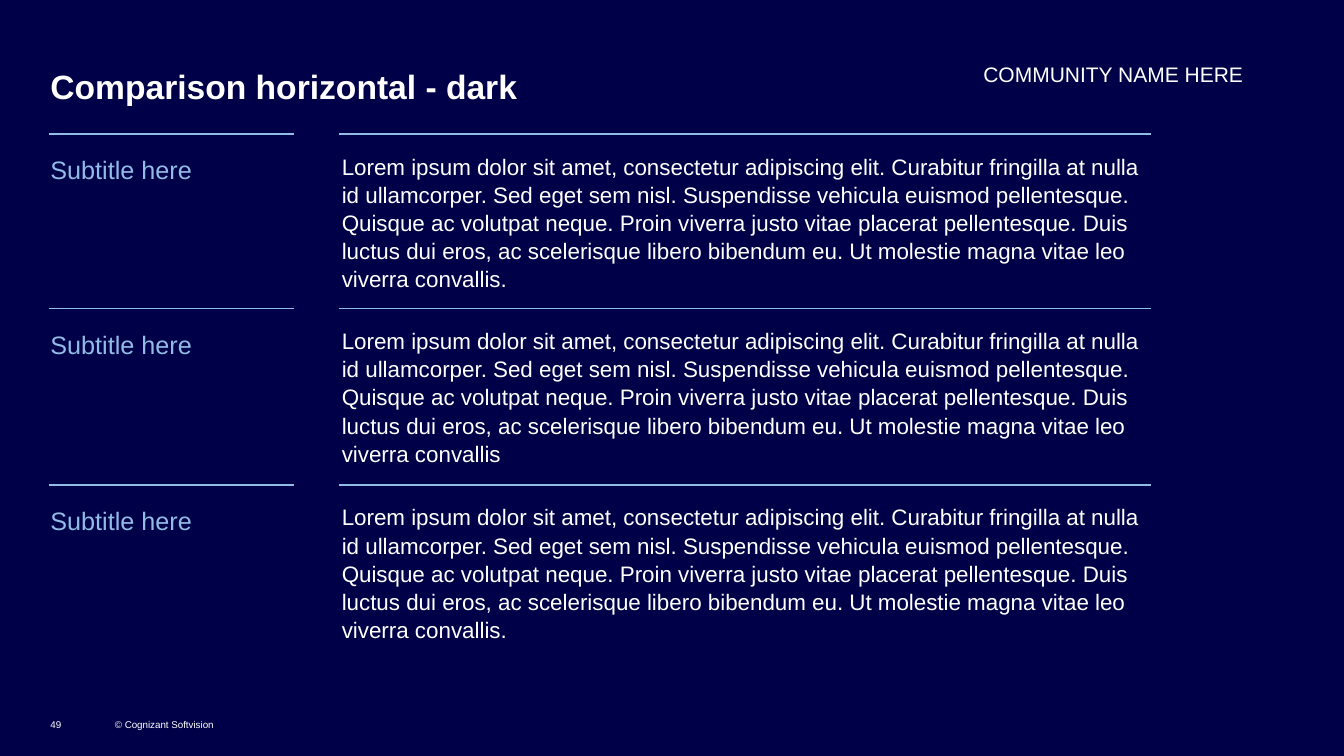
from lxml.etree import SubElement
from pptx import Presentation
from pptx.dml.color import RGBColor
from pptx.enum.shapes import MSO_CONNECTOR
from pptx.enum.text import MSO_ANCHOR, MSO_AUTO_SIZE, PP_ALIGN
from pptx.oxml.ns import qn
from pptx.util import Inches, Pt

NAVY, SKY, WHITE = "000048", "92BBE6", "FFFFFF"
LOREM = (
    "Lorem ipsum dolor sit amet, consectetur adipiscing elit. "
    "Curabitur fringilla at nulla id ullamcorper. Sed eget sem nisl. "
    "Suspendisse vehicula euismod pellentesque. Quisque ac volutpat neque. "
    "Proin viverra justo vitae placerat pellentesque. Duis luctus dui eros, "
    "ac scelerisque libero bibendum eu. Ut molestie magna vitae leo viverra convallis"
)


def color(code):
    return RGBColor.from_string(code)


class ComparisonSlide:
    font = "Arial"

    def __init__(self, deck):
        self.width, self.height = deck.slide_width, deck.slide_height
        self.page = deck.slides.add_slide(deck.slide_layouts.get_by_name("Comparison"))
        self.page.background.fill.solid()
        self.page.background.fill.fore_color.rgb = color(NAVY)
        self.bodies = []
        for holder in list(self.page.placeholders):
            if 1 <= holder.placeholder_format.idx <= 4:
                self.bodies.append(holder)
            elif holder.placeholder_format.idx > 4:
                holder.element.getparent().remove(holder.element)

    def across(self, percent):
        return round(self.width * percent / 100)

    def down(self, percent):
        return round(self.height * percent / 100)

    def set_text(self, box, place, text, size, code=WHITE, bold=False,
                 anchor=MSO_ANCHOR.TOP, align=PP_ALIGN.LEFT, spacing=1.0):
        left, top, width, height = place
        box.left, box.top = self.across(left), self.down(top)
        box.width, box.height = self.across(width), self.down(height)
        frame = box.text_frame
        frame.margin_left = frame.margin_right = 0
        frame.margin_top = frame.margin_bottom = 0
        frame.word_wrap = True
        frame.auto_size = MSO_AUTO_SIZE.NONE
        frame.vertical_anchor = anchor
        frame.text = text
        para = frame.paragraphs[0]
        para.alignment = align
        para.space_before = Pt(0)
        para.line_spacing = spacing
        properties = para._p.get_or_add_pPr()
        properties.set("marL", "0")
        properties.set("indent", "0")
        SubElement(properties, qn("a:buNone"))
        para.font.name, para.font.size, para.font.bold = self.font, Pt(size), bold
        para.font.color.rgb = color(code)

    def title(self, place, text):
        self.set_text(self.page.shapes.title, place, text, 24, bold=True, spacing=1.1)

    def body(self, place, text, size, code, spacing):
        box = self.bodies.pop(0) if self.bodies else self.new_box()
        self.set_text(box, place, text, size, code, spacing=spacing)

    def label(self, place, text, size, anchor, align=PP_ALIGN.LEFT):
        self.set_text(self.new_box(), place, text, size, anchor=anchor, align=align)

    def new_box(self):
        return self.page.shapes.add_textbox(0, 0, 0, 0)

    def rule(self, start, end, row):
        line = self.page.shapes.add_connector(
            MSO_CONNECTOR.STRAIGHT, self.across(start), self.down(row),
            self.across(end), self.down(row))
        line.line.color.rgb = color(SKY)
        line.line.width = Pt(1.25)
        SubElement(line._element.spPr, qn("a:effectLst"))


def main():
    deck = Presentation()
    deck.slide_width, deck.slide_height = Inches(13.33), Inches(7.5)
    slide = ComparisonSlide(deck)
    slide.title((3.75, 8.13, 88.67, 4.53), "Comparison horizontal - dark")
    slide.label((8.55, 93.87, 9.83, 2.8), "© Cognizant Softvision", 7, MSO_ANCHOR.BOTTOM)
    slide.label((3.75, 93.87, 2.93, 2.8), "49", 7, MSO_ANCHOR.BOTTOM)
    for row, ending in ((17.73, "."), (40.8, ""), (64.13, ".")):
        top = row + 2.3
        slide.body((3.75, top, 18, 13.33), "Subtitle here", 18, SKY, 1.1)
        slide.body((25.43, top, 59.64, 13.33), LOREM + ending, 16, WHITE, 1.05)
        slide.rule(3.68, 21.9, row)
        slide.rule(25.2, 85.67, row)
    slide.label((66.77, 8.13, 25.73, 3.33), "COMMUNITY NAME HERE", 15,
                MSO_ANCHOR.MIDDLE, PP_ALIGN.RIGHT)
    deck.save("out.pptx")


if __name__ == "__main__":
    main()
